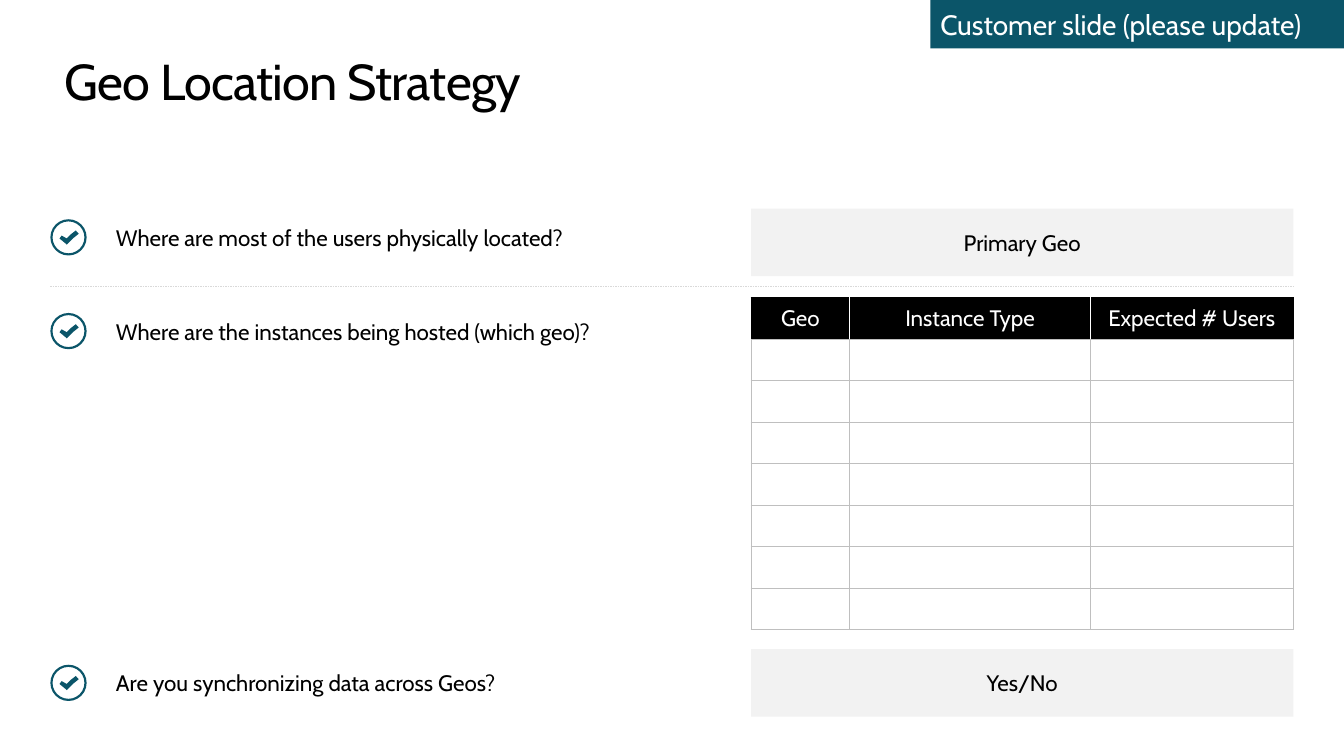
from dataclasses import dataclass

from lxml import etree
from pptx import Presentation
from pptx.dml.color import RGBColor
from pptx.enum.dml import MSO_LINE
from pptx.enum.shapes import MSO_CONNECTOR, MSO_SHAPE
from pptx.enum.text import MSO_ANCHOR, PP_ALIGN
from pptx.oxml.ns import qn
from pptx.util import Inches, Pt

LEFT, CENTER = PP_ALIGN.LEFT, PP_ALIGN.CENTER
TOP, MIDDLE = MSO_ANCHOR.TOP, MSO_ANCHOR.MIDDLE
RECT, DONUT = MSO_SHAPE.RECTANGLE, MSO_SHAPE.DONUT
STRAIGHT, DASH = MSO_CONNECTOR.STRAIGHT, MSO_LINE.DASH

FONT = "Cabin"
COLORS = {
    "teal": "0B5569", "black": "000000", "white": "FFFFFF",
    "panel": "F2F2F2", "rule": "D9D9D9", "grid": "BFBFBF",
}
WIDTH, HEIGHT = Inches(13.333), Inches(7.5)


@dataclass
class Box:
    """An area in percent of the slide's width and height."""
    x: float
    y: float
    w: float
    h: float

    def emu(self) -> tuple:
        return across(self.x), down(self.y), across(self.w), down(self.h)


@dataclass
class Query:
    text: str
    top: float


@dataclass
class Panel:
    text: str
    box: Box
    fill: str = "panel"
    color: str = "black"
    size: float = 16
    align: int = CENTER


ANSWER_X, ANSWER_W = 55.88, 40.35
QUERIES = [
    Query("Where are most of the users physically located?", 27.6),
    Query("Where are the instances being hosted (which geo)?", 40),
    Query("Are you synchronizing data across Geos?", 86.53),
]
PANELS = [
    Panel("Yes/No", Box(ANSWER_X, 85.87, ANSWER_W, 8.93)),
    Panel("Primary Geo", Box(ANSWER_X, 27.6, ANSWER_W, 8.93)),
    Panel("Customer slide (please update)", Box(69.23, 0, 30.77, 6.4),
          "teal", "white", 20, LEFT),
]
HEADS = {"Geo": 7.35, "Instance Type": 17.9, "Expected # Users": 15.1}
ROWS = 8

# Tick outline, in shares of the ring's diameter from its centre
TICK = [(0.2, -0.19), (0.07, -0.09), (-0.05, 0.03), (-0.19, -0.05),
        (-0.25, 0.03), (-0.08, 0.17), (-0.05, 0.2), (0, 0.15),
        (0.13, 0.02), (0.28, -0.1)]


def across(share: float) -> int:
    return round(WIDTH * share / 100)


def down(share: float) -> int:
    return round(HEIGHT * share / 100)


def paint(name: str) -> RGBColor:
    return RGBColor.from_string(COLORS[name])


def write(frame, text: str, *, size: float = 16, color: str = "black",
          align: int = LEFT, anchor: int = MIDDLE, inset: tuple = (),
          gap: int = 0) -> None:
    """Put one formatted line of text into a text frame."""
    frame.word_wrap = True
    frame.vertical_anchor = anchor
    if inset:
        (frame.margin_left, frame.margin_top,
         frame.margin_right, frame.margin_bottom) = inset
    line = frame.paragraphs[0]
    line.alignment = align
    run = line.add_run()
    run.text = text
    font = run.font
    font.name, font.size, font.bold = FONT, Pt(size), False
    font.color.rgb = paint(color)
    if gap:
        run._r.get_or_add_rPr().set("spc", str(gap))


def flat(shape, fill: str) -> None:
    shape.shadow.inherit = False
    shape.fill.solid()
    shape.fill.fore_color.rgb = paint(fill)
    shape.line.fill.background()


def draw_icon(slide, mid: float) -> None:
    """Draw a ringed tick centred on the given height."""
    shapes = slide.shapes.add_group_shape().shapes
    left, size = across(3.75), across(2.7)
    cx, cy = left + size // 2, down(mid)
    ring = shapes.add_shape(DONUT, left, cy - size // 2, size, size)
    ring.adjustments[0] = 0.06
    flat(ring, "teal")
    dots = [(cx + size * x, cy + size * y) for x, y in TICK]
    pen = shapes.build_freeform(*dots[0])
    pen.add_line_segments(dots[1:], close=True)
    flat(pen.convert_to_shape(), "teal")


def draw_query(slide, query: Query) -> None:
    box = Box(4.13, query.top, 50.63, 7.6)
    label = slide.shapes.add_textbox(*box.emu())
    write(label.text_frame, query.text,
          inset=(across(4.5), down(0.67), across(0.75), down(0.67)))
    draw_icon(slide, query.top + box.h / 2)


def draw_panel(slide, panel: Panel) -> None:
    shape = slide.shapes.add_shape(RECT, *panel.box.emu())
    flat(shape, panel.fill)
    write(shape.text_frame, panel.text, size=panel.size,
          color=panel.color, align=panel.align)


def edge(cell, **sides: str) -> None:
    """Give each named side of a cell a thin line."""
    props = cell._tc.get_or_add_tcPr()
    for spot, (side, color) in enumerate(sides.items()):
        line = etree.Element(qn(f"a:ln{side}"), w=str(Pt(0.5)))
        fill = etree.SubElement(line, qn("a:solidFill"))
        etree.SubElement(fill, qn("a:srgbClr"), val=COLORS[color])
        props.insert(spot, line)


def draw_table(slide) -> None:
    box = Box(ANSWER_X, 39.33, ANSWER_W, 44)
    last = len(HEADS) - 1
    table = slide.shapes.add_table(ROWS, len(HEADS), *box.emu()).table
    table.horz_banding = False
    for col, (head, width) in enumerate(HEADS.items()):
        table.columns[col].width = across(width)
        cell = table.cell(0, col)
        cell.fill.solid()
        cell.fill.fore_color.rgb = paint("black")
        cell.vertical_anchor = MIDDLE
        write(cell.text_frame, head, color="white", align=CENTER)
        cell.text_frame.word_wrap = None
        edge(cell, L="white" if col else "black",
             R="white" if col < last else "black", T="black", B="grid")
        for row in range(1, ROWS):
            cell = table.cell(row, col)
            cell.fill.background()
            edge(cell, L="grid", R="grid", T="grid", B="grid")


def draw_rule(slide) -> None:
    y = down(37.87)
    rule = slide.shapes.add_connector(
        STRAIGHT, across(3.75), y, across(96.23), y)
    rule.line.color.rgb = paint("rule")
    rule.line.width = Pt(0.25)
    rule.line.dash_style = DASH
    etree.SubElement(rule._element.spPr, qn("a:effectLst"))


def main() -> None:
    deck = Presentation()
    deck.slide_width, deck.slide_height = WIDTH, HEIGHT
    slide = deck.slides.add_slide(deck.slide_layouts[5])

    # Title
    title = slide.shapes.title
    title.left, title.top, title.width, title.height = Box(
        4.8, 6.67, 90.38, 8.13).emu()
    write(title.text_frame, "Geo Location Strategy", size=36,
          anchor=TOP, inset=(0, 0, 0, 0), gap=-50)

    # Questions on the left, answers on the right
    draw_rule(slide)
    for query in QUERIES:
        draw_query(slide, query)
    for panel in PANELS:
        draw_panel(slide, panel)
    draw_table(slide)

    deck.save("out.pptx")


if __name__ == "__main__":
    main()
